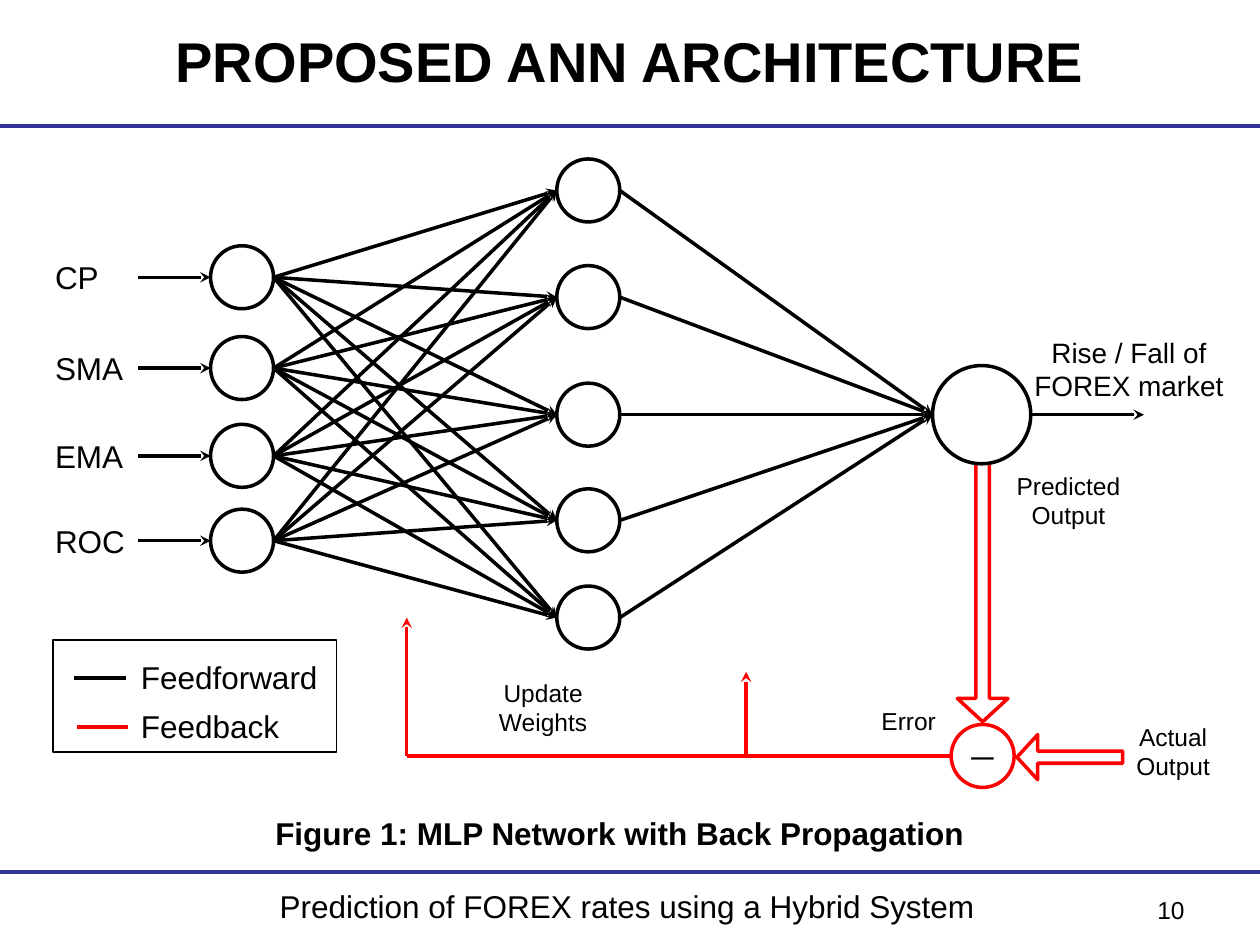
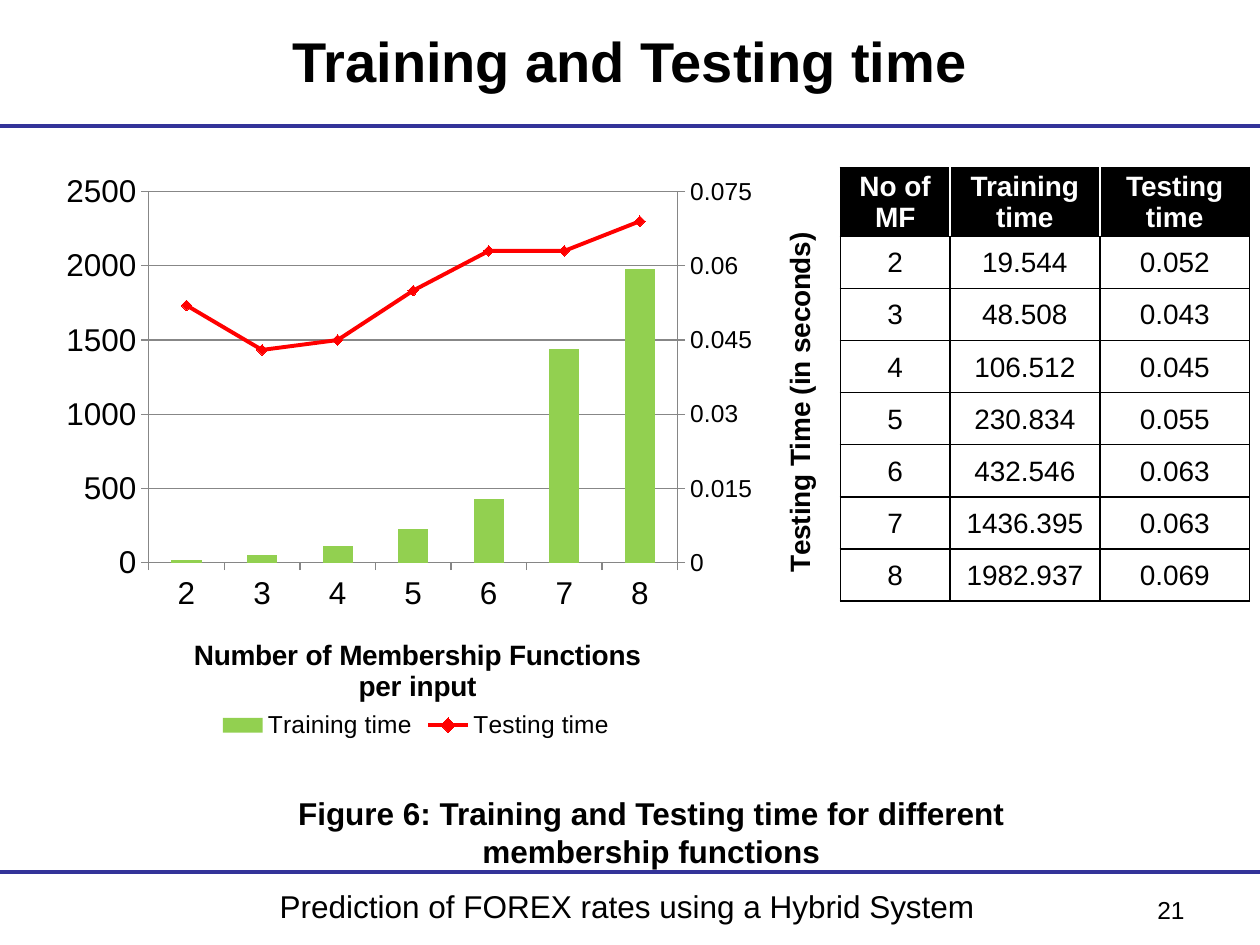
"""Build two slides: a neural network diagram, and a training time chart with its table."""
from lxml import etree
from pptx import Presentation
from pptx.chart.axis import ValueAxis
from pptx.chart.data import CategoryChartData
from pptx.dml.color import RGBColor
from pptx.enum.chart import XL_CHART_TYPE, XL_LEGEND_POSITION, XL_MARKER_STYLE, XL_TICK_MARK
from pptx.enum.shapes import MSO_CONNECTOR, MSO_SHAPE
from pptx.enum.text import MSO_ANCHOR, PP_ALIGN
from pptx.oxml import parse_xml
from pptx.oxml.ns import nsdecls, qn
from pptx.util import Cm, Pt

STRAIGHT = MSO_CONNECTOR.STRAIGHT
OVAL, RECTANGLE, DOWN_ARROW = MSO_SHAPE.OVAL, MSO_SHAPE.RECTANGLE, MSO_SHAPE.DOWN_ARROW
LEFT, CENTER, RIGHT = PP_ALIGN.LEFT, PP_ALIGN.CENTER, PP_ALIGN.RIGHT
TOP, MIDDLE = MSO_ANCHOR.TOP, MSO_ANCHOR.MIDDLE
COLUMNS, BOTTOM = XL_CHART_TYPE.COLUMN_CLUSTERED, XL_LEGEND_POSITION.BOTTOM
DIAMOND = XL_MARKER_STYLE.DIAMOND
OUTSIDE, INSIDE, NO_TICK = XL_TICK_MARK.OUTSIDE, XL_TICK_MARK.INSIDE, XL_TICK_MARK.NONE

BLACK, WHITE, RED, GREEN = "000000", "FFFFFF", "FF0000", "92D050"
RULE_BLUE, AXIS_GREY = "333399", "868686"
FONT = "Arial"

FOOTER = "Prediction of FOREX rates using a Hybrid System"
RULE_HEIGHTS = (2.54, 17.58)

NEURON, OUTPUT_NEURON = 1.27, 1.98
INPUT_X, HIDDEN_X, OUTPUT_X = 4.88, 11.86, 19.79
INPUTS = (("CP", 5.59), ("SMA", 7.42), ("EMA", 9.19), ("ROC", 10.9))
HIDDEN_HEIGHTS = (3.84, 5.99, 8.36, 10.49, 12.45)
OUTPUT_Y, ERROR_X, ERROR_Y = 8.36, 19.81, 15.24
NETWORK_LABELS = (
    ("Rise / Fall of FOREX market", (20.32, 6.63, 4.88, 1.63), 16),
    ("Predicted Output", (20.22, 9.37, 2.64, 1.45), 14),
    ("Actual Output", (22.33, 14.43, 2.64, 1.45), 14),
    ("Error", (17.48, 14.1, 1.68, 0.86), 14),
    ("Update Weights", (9.63, 13.54, 2.64, 1.45), 14),
)
KEY_BOX = (1.07, 12.9, 5.72, 2.26)
KEY = (("Feedforward", 1.5, 13.67, BLACK), ("Feedback", 1.55, 14.66, RED))
UPDATE_ARROWS = ((8.2, 12.45), (15.04, 13.54))
BLOCK_ARROWS = (((19.3, 9.19, 1.02, 5.36), 0), ((21.11, 14.2, 0.91, 2.13), 90))

TABLE_HEADER = ("No of MF", "Training time", "Testing time")
TIMES = (
    (2, 19.544, 0.052),
    (3, 48.508, 0.043),
    (4, 106.512, 0.045),
    (5, 230.834, 0.055),
    (6, 432.546, 0.063),
    (7, 1436.395, 0.063),
    (8, 1982.937, 0.069),
)
TABLE_LEFT, TABLE_TOP = 16.94, 3.38
COLUMN_WIDTHS = (2.21, 3.02, 3.02)
HEADER_HEIGHT, ROW_HEIGHT = 1.38, 1.05
CHART_BOX = (0, 3.38, 16.66, 12.07)
PLOT_LAYOUT = {"x": 0.18, "y": 0.04, "w": 0.64, "h": 0.62}
LEGEND_LAYOUT = {"x": 0.26, "y": 0.9}
SECOND_AXES = """<c:plotArea %s>
<c:lineChart><c:grouping val="standard"/><c:varyColors val="0"/><c:marker val="1"/>
<c:axId val="5001"/><c:axId val="5002"/></c:lineChart>
<c:catAx><c:axId val="5001"/><c:scaling/><c:delete val="1"/><c:axPos val="b"/>
<c:crossAx val="5002"/></c:catAx>
<c:valAx><c:axId val="5002"/><c:scaling/><c:delete val="0"/><c:axPos val="r"/>
<c:numFmt formatCode="General" sourceLinked="0"/><c:tickLblPos val="nextTo"/>
<c:crossAx val="5001"/><c:crosses val="max"/></c:valAx>
</c:plotArea>""" % nsdecls("c")


def rgb(color):
    return RGBColor.from_string(color)


def set_all(target, values):
    for name, value in values.items():
        setattr(target, name, value)


def style_font(font, size, color=BLACK, bold=False):
    set_all(font, {"name": FONT, "size": Pt(size), "bold": bold})
    font.color.rgb = rgb(color)


def style_line(line, color, width):
    line.color.rgb = rgb(color)
    line.width = Pt(width)


def fill_text(frame, text, size, color=BLACK, bold=False, align=CENTER):
    frame.text = text
    for paragraph in frame.paragraphs:
        paragraph.alignment = align
        style_font(paragraph.runs[0].font, size, color, bold)


def add_text(slide, text, box, size, bold=False, align=CENTER, anchor=TOP):
    frame = slide.shapes.add_textbox(*map(Cm, box)).text_frame
    set_all(frame, {"word_wrap": True, "vertical_anchor": anchor})
    fill_text(frame, text, size, bold=bold, align=align)


def add_line(slide, start, end, color=BLACK, width=2, arrow=False):
    connector = slide.shapes.add_connector(STRAIGHT, *map(Cm, start + end))
    style_line(connector.line, color, width)
    properties = connector._element.spPr
    if arrow:
        etree.SubElement(properties.find(qn("a:ln")), qn("a:tailEnd"), type="stealth")
    etree.SubElement(properties, qn("a:effectLst"))


def add_outline(slide, kind, box, color=BLACK, width=2, fill=None):
    shape = slide.shapes.add_shape(kind, *map(Cm, box))
    shape.shadow.inherit = False
    style_line(shape.line, color, width)
    if fill:
        shape.fill.solid()
        shape.fill.fore_color.rgb = rgb(fill)
    else:
        shape.fill.background()
    return shape


def add_neuron(slide, x, y, size=NEURON, color=BLACK):
    box = (x - size / 2, y - size / 2, size, size)
    return add_outline(slide, OVAL, box, color, fill=WHITE)


def add_framed_slide(presentation, title, number):
    slide = presentation.slides.add_slide(presentation.slide_layouts[6])
    for height in RULE_HEIGHTS:
        add_line(slide, (0, height), (25.4, height), RULE_BLUE, 2.25)
    add_text(slide, title, (1.27, 0.33, 22.86, 1.78), 32, bold=True, anchor=MIDDLE)
    add_text(slide, FOOTER, (3.3, 17.75, 18.69, 1.14), 18)
    add_text(slide, number, (18.21, 17.91, 5.92, 1.14), 14, align=RIGHT)
    return slide


def add_feedforward(slide):
    radius = NEURON / 2
    output_edge = (OUTPUT_X - OUTPUT_NEURON / 2, OUTPUT_Y)
    for name, y in INPUTS:
        add_text(slide, name, (0.86, y - 0.51, 2.2, 1.02), 18, align=LEFT)
        add_line(slide, (2.78, y), (INPUT_X - radius, y), arrow=True)
        add_neuron(slide, INPUT_X, y)
        for hidden_y in HIDDEN_HEIGHTS:
            add_line(slide, (INPUT_X + radius, y), (HIDDEN_X - radius, hidden_y), arrow=True)
    for y in HIDDEN_HEIGHTS:
        add_neuron(slide, HIDDEN_X, y)
        add_line(slide, (HIDDEN_X + radius, y), output_edge, arrow=True)
    add_line(slide, (OUTPUT_X + OUTPUT_NEURON / 2, OUTPUT_Y), (23.06, OUTPUT_Y), arrow=True)


def add_feedback(slide):
    right = ERROR_X - NEURON / 2
    for x, tip in reversed(UPDATE_ARROWS):
        add_line(slide, (right, ERROR_Y), (x, ERROR_Y), RED)
        add_line(slide, (x, ERROR_Y), (x, tip), RED, arrow=True)
        right = x
    for box, rotation in BLOCK_ARROWS:
        arrow = add_outline(slide, DOWN_ARROW, box, RED)
        arrow.rotation = rotation
        arrow.adjustments[0], arrow.adjustments[1] = 0.27, 0.46
    frame = add_neuron(slide, ERROR_X, ERROR_Y, color=RED).text_frame
    set_all(frame, dict.fromkeys(("margin_left", "margin_right", "margin_top", "margin_bottom"), 0))
    frame.vertical_anchor = MIDDLE
    fill_text(frame, "─", 18)


def add_key(slide):
    add_outline(slide, RECTANGLE, KEY_BOX, width=0.75)
    for name, x, y, color in KEY:
        add_line(slide, (x, y), (x + 1.04, y), color)
        add_text(slide, name, (2.59, y - 0.53, 4.15, 1.02), 18, align=LEFT)


def build_network_slide(presentation):
    slide = add_framed_slide(presentation, "PROPOSED ANN ARCHITECTURE", "10")
    add_feedforward(slide)
    add_feedback(slide)
    add_neuron(slide, OUTPUT_X, OUTPUT_Y, OUTPUT_NEURON)
    for text, box, size in NETWORK_LABELS:
        add_text(slide, text, box, size)
    add_key(slide)
    caption = "Figure 1: MLP Network with Back Propagation"
    add_text(slide, caption, (5.18, 16.28, 14.63, 1.02), 18, bold=True)


def place(element, index, position):
    for layout in element.findall(qn("c:layout")):
        element.remove(layout)
    layout = etree.Element(qn("c:layout"))
    manual = etree.SubElement(layout, qn("c:manualLayout"))
    if "w" in position:
        etree.SubElement(manual, qn("c:layoutTarget"), val="inner")
    for side in "xy":
        etree.SubElement(manual, qn(f"c:{side}Mode"), val="edge")
    for name, value in position.items():
        etree.SubElement(manual, qn(f"c:{name}"), val=str(value))
    element.insert(index, layout)


def style_axis(axis, title, position, size, minor=NO_TICK, limit=None, step=None):
    set_all(axis, {"major_tick_mark": OUTSIDE, "minor_tick_mark": minor})
    if limit:
        set_all(axis, {"minimum_scale": 0, "maximum_scale": limit, "major_unit": step})
    style_line(axis.format.line, AXIS_GREY, 0.75)
    style_font(axis.tick_labels.font, size)
    frame = axis.axis_title.text_frame
    fill_text(frame, title, 16, bold=True)
    if limit:
        set_all(frame._txBody.bodyPr, {})
        frame._txBody.bodyPr.set("rot", "-5400000")
        frame._txBody.bodyPr.set("vert", "horz")
    place(axis.axis_title._element, 1, position)


def move_to_second_axis(chart):
    plot_area = chart._chartSpace.chart.plotArea
    series = chart.plots[0].series[1]._element
    for element in series.findall(qn("c:invertIfNegative")):
        series.remove(element)
    line_chart, category_axis, value_axis = list(parse_xml(SECOND_AXES))
    line_chart.insert(2, series)
    plot_area.find(qn("c:barChart")).addnext(line_chart)
    plot_area.findall(qn("c:valAx"))[-1].addnext(value_axis)
    value_axis.addnext(category_axis)
    return ValueAxis(value_axis)


def add_time_chart(slide):
    data = CategoryChartData()
    data.categories = [str(count) for count, _, _ in TIMES]
    data.add_series("Training time", [round(training, -1) for _, training, _ in TIMES])
    data.add_series("Testing time", [testing for _, _, testing in TIMES])
    chart = slide.shapes.add_chart(COLUMNS, *map(Cm, CHART_BOX), data).chart
    set_all(chart, {"has_title": False, "has_legend": True})
    style_font(chart.font, 18)
    right_axis = move_to_second_axis(chart)
    bars, lines = chart.plots
    set_all(bars, {"gap_width": 150, "vary_by_categories": False})
    bars.series[0].format.fill.solid()
    bars.series[0].format.fill.fore_color.rgb = rgb(GREEN)
    testing = lines.series[0]
    testing.smooth = False
    style_line(testing.format.line, RED, 2.25)
    set_all(testing.marker, {"style": DIAMOND, "size": 6})
    testing.marker.format.fill.solid()
    testing.marker.format.fill.fore_color.rgb = rgb(RED)
    style_line(testing.marker.format.line, RED, 0.75)
    style_axis(chart.category_axis, "Number of Membership Functions\nper input",
               {"x": 0.23, "y": 0.78}, 18)
    style_axis(chart.value_axis, "Training Time (in seconds)",
               {"x": 0.04, "y": 0.09}, 14, INSIDE, 2500, 500)
    style_axis(right_axis, "Testing Time (in seconds)",
               {"x": 0.94, "y": 0.1}, 14, NO_TICK, 0.075, 0.015)
    style_line(chart.value_axis.major_gridlines.format.line, AXIS_GREY, 0.75)
    set_all(chart.legend, {"position": BOTTOM, "include_in_layout": False})
    style_font(chart.legend.font, 14)
    place(chart.legend._element, 1, LEGEND_LAYOUT)
    place(chart._chartSpace.chart.plotArea, 0, PLOT_LAYOUT)


def add_borders(cell, colors):
    properties = cell._tc.get_or_add_tcPr()
    for index, (side, color) in enumerate(colors.items()):
        line = etree.Element(qn(f"a:ln{side}"), w=str(Pt(1)))
        fill = etree.SubElement(line, qn("a:solidFill"))
        etree.SubElement(fill, qn("a:srgbClr"), val=color)
        properties.insert(index, line)


def add_time_table(slide):
    rows = (TABLE_HEADER,) + TIMES
    heights = [HEADER_HEIGHT] + [ROW_HEIGHT] * len(TIMES)
    box = (TABLE_LEFT, TABLE_TOP, sum(COLUMN_WIDTHS), sum(heights))
    table = slide.shapes.add_table(len(rows), len(TABLE_HEADER), *map(Cm, box)).table
    for column, width in zip(table.columns, COLUMN_WIDTHS):
        column.width = Cm(width)
    for row, values in enumerate(rows):
        table.rows[row].height = Cm(heights[row])
        header = row == 0
        for column, value in enumerate(values):
            cell = table.cell(row, column)
            set_all(cell, {"margin_left": Cm(0.03), "margin_right": Cm(0.03), "margin_top": Cm(0.03),
                           "margin_bottom": 0, "vertical_anchor": MIDDLE})
            fill_text(cell.text_frame, str(value), 16, WHITE if header else BLACK, header)
            cell.fill.solid()
            cell.fill.fore_color.rgb = rgb(BLACK if header else WHITE)
            add_borders(cell, {"L": WHITE if header and column > 0 else BLACK,
                               "R": WHITE if header and column < len(values) - 1 else BLACK,
                               "T": BLACK, "B": BLACK})


def build_times_slide(presentation):
    slide = add_framed_slide(presentation, "Training and Testing time", "21")
    add_time_chart(slide)
    add_time_table(slide)
    caption = "Figure 6: Training and Testing time for different membership functions"
    add_text(slide, caption, (5.51, 15.88, 15.24, 1.8), 18, bold=True)


def main():
    presentation = Presentation()
    set_all(presentation, {"slide_width": Cm(25.4), "slide_height": Cm(19.05)})
    build_network_slide(presentation)
    build_times_slide(presentation)
    presentation.save("out.pptx")


if __name__ == "__main__":
    main()
